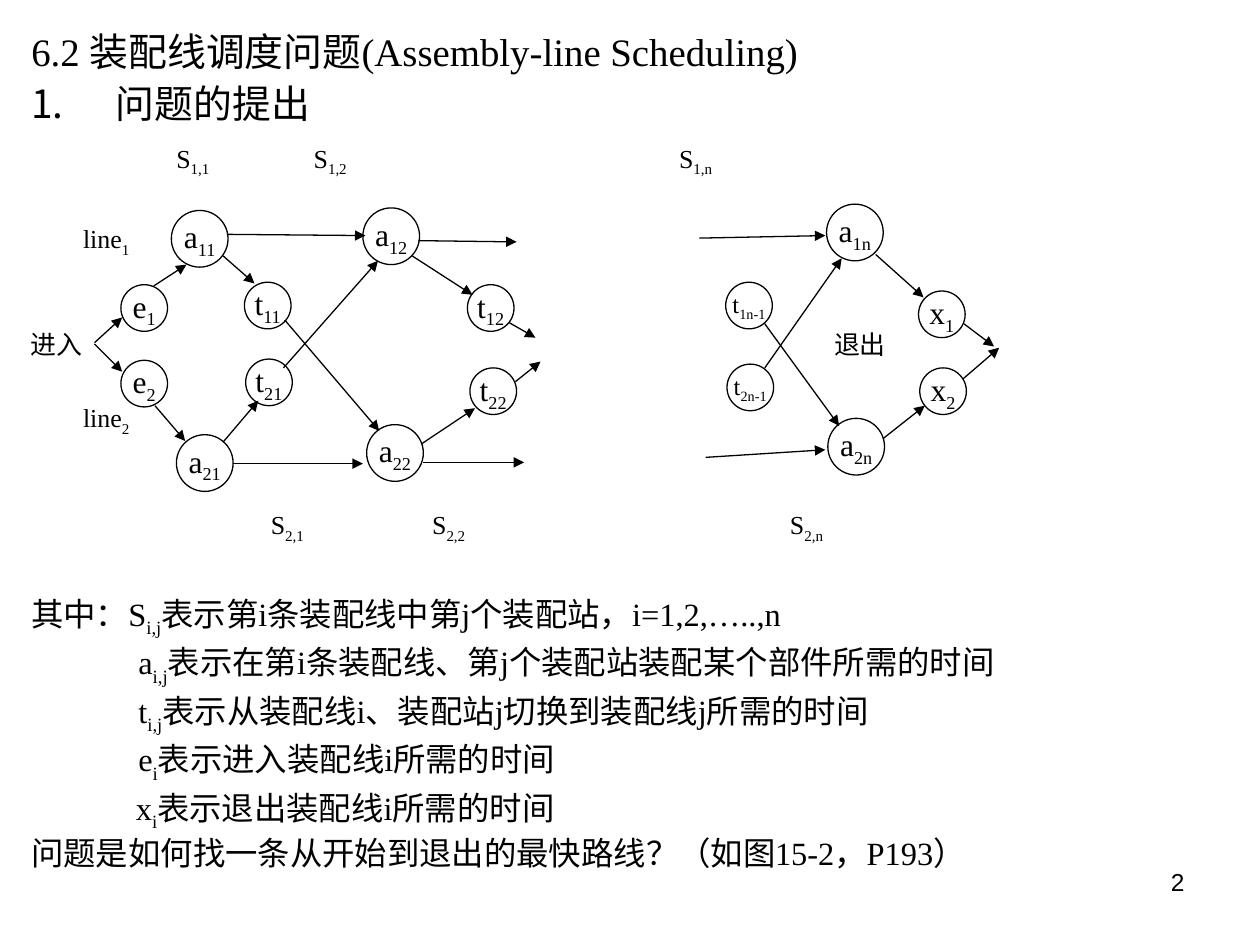
from lxml.etree import SubElement
from pptx import Presentation
from pptx.dml.color import RGBColor
from pptx.enum.shapes import MSO_CONNECTOR as Connector, MSO_SHAPE as Shape
from pptx.enum.text import MSO_ANCHOR as Anchor, PP_ALIGN as Align
from pptx.oxml.ns import qn
from pptx.util import Inches, Pt

WIDTH, HEIGHT = Inches(10), Inches(7.5)
COLUMN, ROW = WIDTH / 100, HEIGHT / 75
BLACK, WHITE = "000000", "FFFFFF"
SERIF, SANS = "Times New Roman", "Arial"
STATION, SMALL = 4.5, 3.7
NODE_TEXT, LONG_NODE_TEXT = 18, 14

STATIONS = [
    ("a~11", 13.6, 16.7), ("a~12", 28.8, 16.5), ("a~1n", 65.6, 16.2),
    ("a~21", 14, 34.5), ("a~22", 29.1, 33.7), ("a~2n", 65.7, 33.2),
]
TRANSFERS = [
    ("t~11", 19.4, 22.4), ("t~21", 19.5, 28.5),
    ("t~12", 37.1, 22.6), ("t~22", 37.3, 29.2),
    ("t~1n-1", 57.6, 22.4), ("t~2n-1", 57.7, 28.9),
    ("x~1", 72.9, 23.1), ("x~2", 73, 29.2),
    ("e~1", 9.6, 22.6), ("e~2", 9.6, 28.6),
]
LINE_ARROWS = [
    (18, 18.6, 29, 18.7), (33.2, 19.1, 41, 19.2), (55.5, 18.9, 65.5, 18.7),
    (18.5, 36.8, 28.8, 36.8), (33.6, 36.7, 41.6, 36.7), (56, 36.3, 65.5, 35.7),
]
TRANSFER_ARROWS = [
    (17.7, 20.3, 20.2, 22.5), (17.7, 35.1, 20.5, 31.8),
    (22.6, 25.4, 30.1, 34.2), (22.5, 29.2, 30, 20.7),
    (32.7, 20.3, 37.5, 23.4), (33.5, 35.2, 37.7, 32.4),
    (40.4, 25.6, 42.5, 26.8), (40.9, 30.3, 42.9, 28.7),
    (60.7, 25.7, 66.6, 33.8), (60.7, 29.2, 66.8, 20.5),
]
ENTRY_EXIT_ARROWS = [
    (7.5, 27.2, 9.7, 25.2), (7.5, 27.3, 9.7, 29.5),
    (12.2, 22.7, 14.8, 21), (12.3, 32.2, 14.7, 35),
    (69.5, 20.2, 73.3, 23.6), (70.1, 34.8, 73.4, 32.2),
    (76.5, 25.7, 78.9, 27.5), (76.4, 30.1, 79.3, 27.6),
]
LABELS = [
    ("S~1,1", 14, 12.7), ("S~1,2", 24.9, 12.7), ("S~1,n", 53.9, 12.7),
    ("line~1", 6.6, 19.1), ("line~2", 6.6, 33.3),
    ("进入", 2.4, 27.3), ("退出", 66.2, 27.3),
    ("S~2,1", 21.5, 41.8), ("S~2,2", 34.3, 41.8), ("S~2,n", 62.7, 41.8),
]
DEFINITIONS = [
    ("其中：S~i,j~表示第i条装配线中第j个装配站，i=1,2,…..,n", 0),
    ("a~i,j~表示在第i条装配线、第j个装配站装配某个部件所需的时间", 8.5),
    ("t~i,j~表示从装配线i、装配站j切换到装配线j所需的时间", 8.5),
    ("e~i~表示进入装配线i所需的时间", 8.5),
    ("x~i~表示退出装配线i所需的时间", 8.3),
    ("问题是如何找一条从开始到退出的最快路线？（如图15-2，P193）", 0),
]


def color(code):
    return RGBColor.from_string(code)


def place(left, top, width, height):
    return [round(n) for n in (left * COLUMN, top * ROW, width * COLUMN, height * ROW)]


def write(para, text, size, name=SERIF, align=Align.LEFT):
    para.alignment = align
    para.font.size, para.font.name = Pt(size), name
    para.font.color.rgb = color(BLACK)
    for order, part in enumerate(text.split("~")):
        span = para.add_run()
        span.text = part
        if order % 2:
            span.font._element.set("baseline", "-25000")


def add_box(page, *area):
    box = page.shapes.add_textbox(*place(*area))
    box.text_frame.word_wrap = True
    return box.text_frame


def add_paragraphs(frame, lines, size, before):
    for order, (text, indent) in enumerate(lines):
        para = frame.add_paragraph() if order else frame.paragraphs[0]
        para.line_spacing, para.space_before = 0.9, Pt(before)
        para._p.get_or_add_pPr().set("marL", str(round(indent * COLUMN)))
        write(para, text, size)


def number_paragraph(para):
    properties = para._p.get_or_add_pPr()
    properties.set("indent", "-" + properties.get("marL"))
    bullet = properties.makeelement(qn("a:buAutoNum"), {"type": "arabicPeriod"})
    properties.find(qn("a:defRPr")).addprevious(bullet)


def add_label(page, text, left, middle):
    frame = add_box(page, left, middle - 2, 10, 4)
    frame.margin_left = frame.margin_right = 0
    frame.vertical_anchor = Anchor.MIDDLE
    write(frame.paragraphs[0], text, 14.8)


def add_node(page, text, left, top, size):
    node = page.shapes.add_shape(Shape.OVAL, *place(left, top, size, size))
    node.shadow.inherit = False
    node.fill.solid()
    node.fill.fore_color.rgb = color(WHITE)
    node.line.color.rgb = color(BLACK)
    node.line.width = Pt(0.75)
    frame = node.text_frame
    frame.word_wrap = False
    frame.vertical_anchor = Anchor.MIDDLE
    text_size = LONG_NODE_TEXT if len(text) > 4 else NODE_TEXT
    write(frame.paragraphs[0], text, text_size, align=Align.CENTER)


def add_arrow(page, *ends):
    arrow = page.shapes.add_connector(Connector.STRAIGHT, *place(*ends))
    arrow.line.color.rgb = color(BLACK)
    arrow.line.width = Pt(0.75)
    SubElement(arrow.line._get_or_add_ln(), qn("a:tailEnd"), type="triangle")
    SubElement(arrow._element.spPr, qn("a:effectLst"))


def main():
    deck = Presentation()
    deck.slide_width, deck.slide_height = WIDTH, HEIGHT
    page = deck.slides.add_slide(deck.slide_layouts[6])

    heading = add_box(page, 1.5, 2.1, 98.5, 9)
    titles = [("6.2 装配线调度问题(Assembly-line Scheduling)", 0), ("问题的提出", 6.7)]
    add_paragraphs(heading, titles, 22.2, 6)
    number_paragraph(heading.paragraphs[1])
    add_paragraphs(add_box(page, 1.5, 46.7, 98.5, 24), DEFINITIONS, 18.5, 5)

    for label in LABELS:
        add_label(page, *label)
    for nodes, size in ((STATIONS, STATION), (TRANSFERS, SMALL)):
        for node in nodes:
            add_node(page, *node, size)
    for ends in LINE_ARROWS + TRANSFER_ARROWS + ENTRY_EXIT_ARROWS:
        add_arrow(page, *ends)

    number = add_box(page, 71.7, 68.3, 23.3, 5.2)
    write(number.paragraphs[0], "2", 14, SANS, Align.RIGHT)
    deck.save("out.pptx")


if __name__ == "__main__":
    main()
